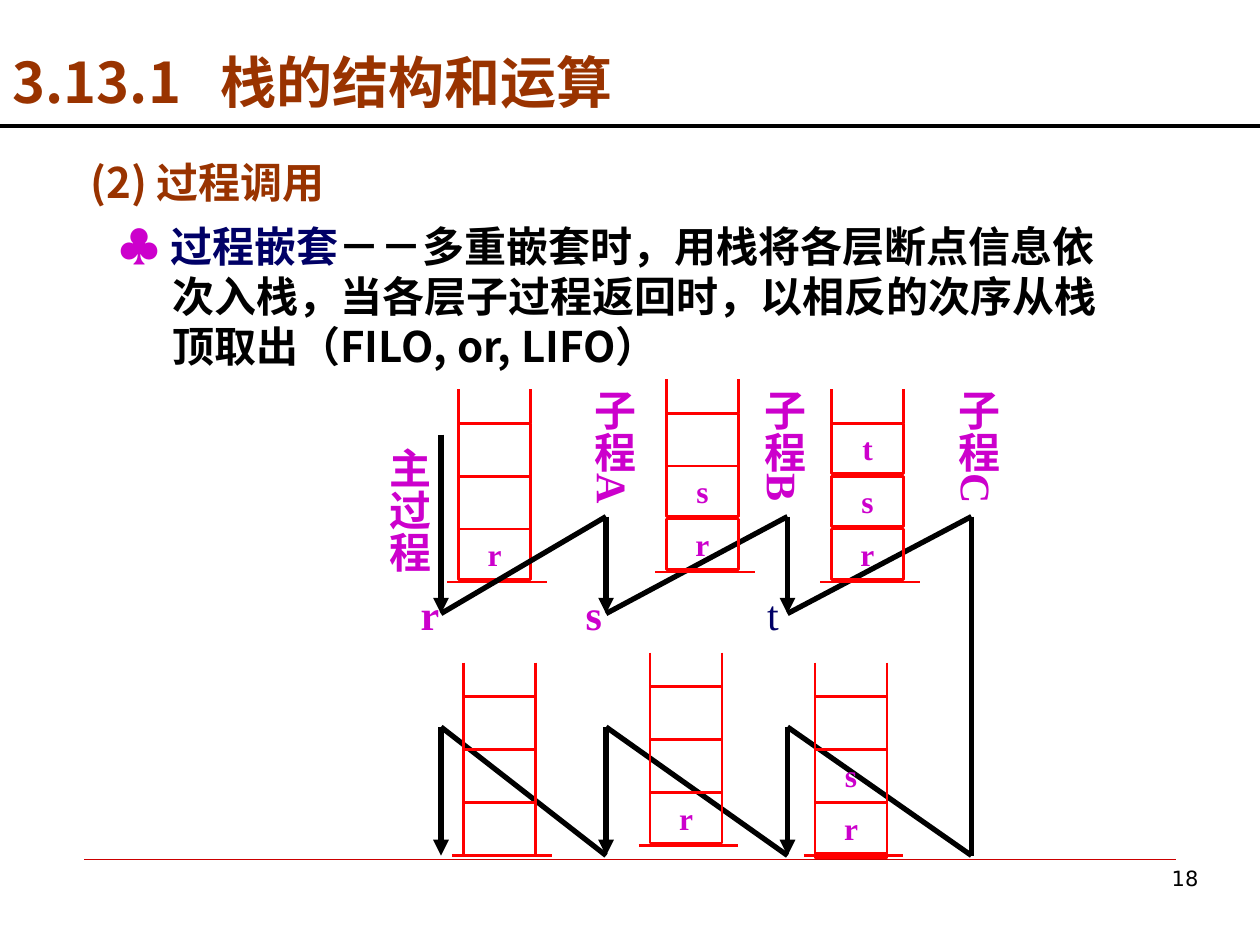
from dataclasses import dataclass
from itertools import pairwise

from lxml.etree import SubElement
from pptx import Presentation
from pptx.dml.color import RGBColor
from pptx.enum.shapes import MSO_CONNECTOR, MSO_SHAPE
from pptx.enum.text import MSO_ANCHOR, MSO_AUTO_SIZE, PP_ALIGN
from pptx.oxml.ns import qn
from pptx.util import Inches, Pt


@dataclass(frozen=True)
class Theme:
    """Colours, fonts and type sizes of the slide."""
    brown: str = "993300"
    navy: str = "000066"
    pink: str = "CC00CC"
    black: str = "000000"
    red: str = "FF0000"
    rule: str = "CC0000"
    sans: str = "Noto Sans CJK SC"
    serif: str = "Times New Roman"
    club: str = "Arial"
    plain: str = "DejaVu Sans"
    head: int = 32
    body: int = 24
    cell: int = 18
    note: int = 12


class Deck:
    """Holds the theme and the current slide, and draws on it."""

    def __init__(self, theme):
        """Start a deck with one title-only slide."""
        self.theme = theme
        self.file = Presentation()
        self.file.slide_width, self.file.slide_height = Inches(10), Inches(7.5)
        self.slide = self.file.slides.add_slide(self.file.slide_layouts[5])
        self.shapes = self.slide.shapes

    def group(self):
        """Send what follows into a new group."""
        self.shapes = self.slide.shapes.add_group_shape().shapes

    def label(self, shape, runs, size, align=PP_ALIGN.LEFT, space=None, hang=False):
        """Put runs of (text, colour, font, bold) into a shape."""
        frame = shape.text_frame
        frame.word_wrap = True
        frame.auto_size = MSO_AUTO_SIZE.NONE
        frame.vertical_anchor = MSO_ANCHOR.TOP
        para = frame.paragraphs[0]
        para.alignment = align
        if space:
            para.line_spacing = Pt(space)
        props = para._p.get_or_add_pPr()
        if hang:
            props.set("marL", str(Inches(1)))
            props.set("indent", str(Inches(-0.5)))
        for text, color, font, bold in runs:
            run = para.add_run()
            run.text = text
            run.font.size, run.font.bold, run.font.name = Pt(size), bold, font
            run.font.color.rgb = RGBColor.from_string(color)
            east = SubElement(run._r.get_or_add_rPr(), qn("a:ea"))
            east.set("typeface", self.theme.sans)
        return props

    def title(self, box, runs, size, space, tab):
        """Place and fill the title, with one tab stop."""
        shape = self.slide.shapes.title
        shape.left, shape.top, shape.width, shape.height = map(Inches, box)
        props = self.label(shape, runs, size, space=space)
        stops = SubElement(props, qn("a:tabLst"))
        SubElement(stops, qn("a:tab"), pos=str(Inches(tab)), algn="l")

    def text(self, box, runs, size, **style):
        """Add a text box."""
        shape = self.shapes.add_textbox(*map(Inches, box))
        self.label(shape, runs, size, **style)
        return shape

    def upright(self, box, runs, size):
        """Add a text box that reads from top to bottom."""
        shape = self.text(box, runs, size, align=PP_ALIGN.CENTER)
        frame = shape.text_frame
        frame.margin_left = frame.margin_right = Inches(0.05)
        frame.margin_top = frame.margin_bottom = Inches(0.1)
        frame._txBody.bodyPr.set("vert", "eaVert")

    def line(self, start, end, color, width, arrow=False):
        """Add a straight line, with an arrowhead at its end if asked."""
        line = self.shapes.add_connector(
            MSO_CONNECTOR.STRAIGHT, *map(Inches, (*start, *end)))
        line.line.color.rgb = RGBColor.from_string(color)
        line.line.width = Pt(width)
        props = line._element.spPr
        if arrow:
            SubElement(props.find(qn("a:ln")), qn("a:tailEnd"), type="triangle")
        SubElement(props, qn("a:effectLst"))

    def cell(self, box, name):
        """Add one open red cell with its name."""
        look = self.theme
        shape = self.shapes.add_shape(MSO_SHAPE.RECTANGLE, *map(Inches, box))
        shape.shadow.inherit = False
        shape.fill.background()
        shape.line.color.rgb = RGBColor.from_string(look.red)
        shape.line.width = Pt(1.5)
        if name:
            self.label(shape, [(name, look.pink, look.serif, True)],
                       look.cell, align=PP_ALIGN.CENTER)

    def stack(self, left, top, names, tall=0.4):
        """Add a stack: three cells, two open rails and a base."""
        wide, step, rail = 0.57, 0.42, 0.27
        for row, name in reversed(list(enumerate(names))):
            high = step if not name else tall if name == "s" else 0.4
            self.cell((left, top + rail + row * step, wide, high), name)
        for side in (left, left + wide):
            self.line((side, top), (side, top + rail), self.theme.red, 1.5)
        base = top + 1.53
        self.line((left - 0.09, base), (left + 0.7, base), self.theme.red, 1.5)


def trace(deck):
    """Draw the calls to the right and the returns to the left."""
    ink = deck.theme.black
    cols = (3.5, 4.81, 6.25, 7.71)
    call, leave, back, end = 4.1, 4.87, 5.77, 6.79
    for here, after in pairwise(cols):
        start = 3.45 if here == cols[0] else call
        deck.line((here, start), (here, leave), ink, 3, arrow=True)
        deck.line((here, leave), (after, call), ink, 3)
    deck.line((cols[-1], call), (cols[-1], end), ink, 3)
    for here, after in pairwise(reversed(cols)):
        deck.line((here, end), (after, back), ink, 3)
        deck.line((after, back), (after, end), ink, 3, arrow=True)


def build():
    """Build the slide and save it."""
    look = Theme()
    deck = Deck(look)
    deck.line((0.67, 6.82), (9.33, 6.82), look.rule, 0.26)
    deck.text((7.44, 6.82, 2.17, 0.52), [("18", look.black, look.plain, False)],
              look.note, align=PP_ALIGN.RIGHT)
    deck.title((0, 0.33, 7.67, 0.64),
               [("3.13.1\t栈的结构和运算", look.brown, look.sans, True)],
               look.head, 38.4, 1.65)
    deck.line((0, 1), (10, 1), look.black, 2.24)
    deck.text((0.12, 1.15, 9.21, 0.54),
              [("(2) 过程调用", look.brown, look.sans, True)],
              look.body, space=31.7, hang=True)
    deck.text((0.27, 1.7, 8.73, 1.3), [
        (" ", look.navy, look.sans, True),
        ("♣ ", look.pink, look.club, True),
        ("过程嵌套", look.navy, look.sans, True),
        ("－－多重嵌套时，用栈将各层断点信息依次入栈，当各层子过程返回时，"
         "以相反的次序从栈顶取出（FILO, or, LIFO）",
         look.black, look.sans, True),
    ], look.body, space=28.6, hang=True)

    deck.group()
    deck.stack(3.64, 3.09, ("", "", "r"))
    trace(deck)
    for left, name, color, bold in (
            (3.24, "r", look.pink, True),
            (4.55, "s", look.pink, True),
            (5.99, "t", look.navy, False)):
        deck.text((left, 4.62, 0.52, 0.5), [(name, color, look.serif, bold)], look.body)
    deck.stack(5.29, 3.01, ("", "s", "r"))
    deck.stack(6.6, 3.09, ("t", "s", "r"))
    deck.stack(6.47, 5.26, ("", "s", "r"), tall=0.86)
    deck.stack(5.16, 5.18, ("", "", "r"))
    deck.stack(3.68, 5.26, ("", "", ""))
    for left, top, name in ((2.9, 3.45, "主过程"), (4.52, 2.99, "子程A"),
                            (5.87, 2.99, "子程B"), (7.41, 2.99, "子程C")):
        deck.upright((left, top, 0.6, 1.43),
                     [(name, look.pink, look.serif, True)], look.body)
    deck.file.save("out.pptx")


build()
